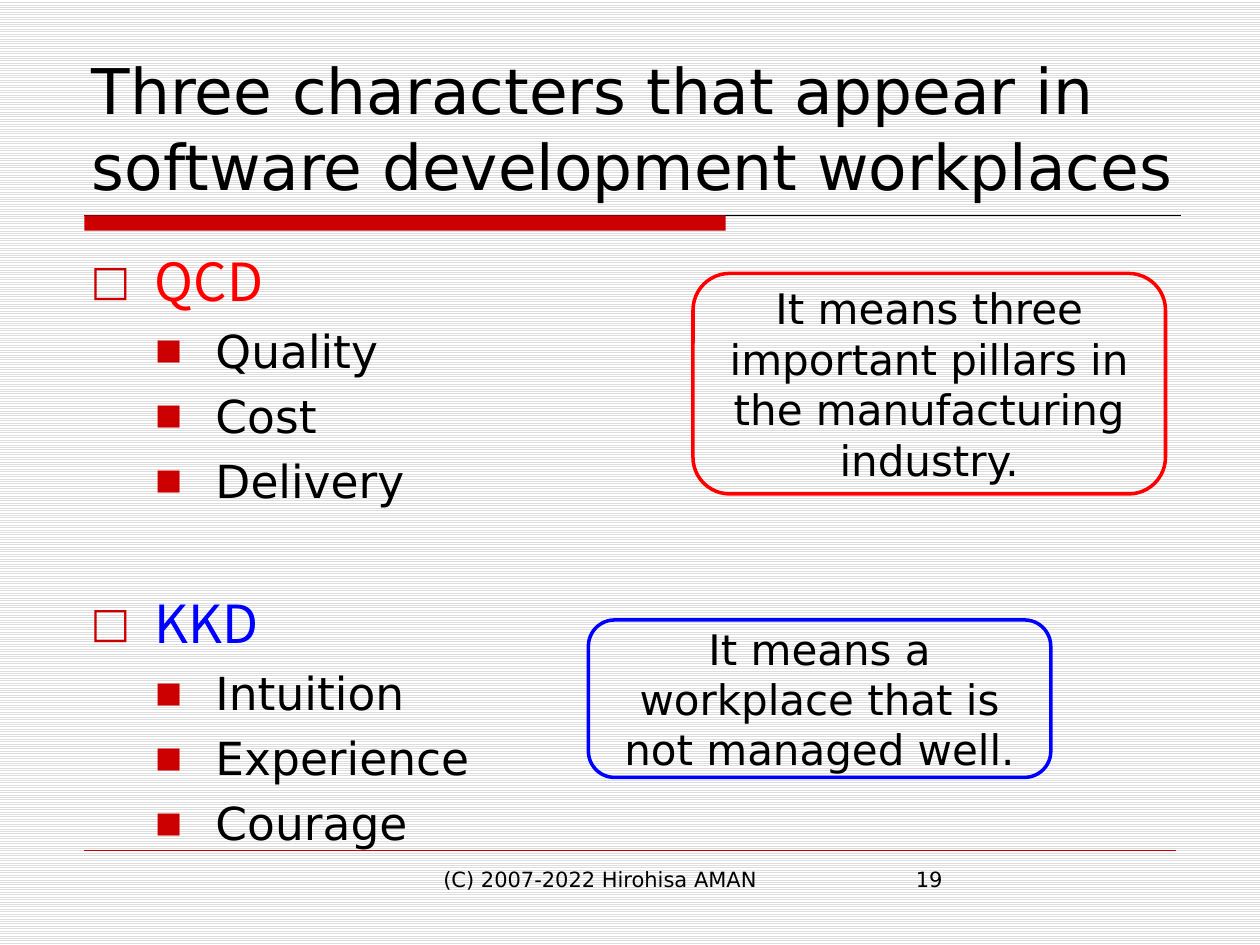
from dataclasses import dataclass

from lxml.etree import SubElement
from pptx import Presentation
from pptx.dml.color import RGBColor
from pptx.enum.dml import MSO_PATTERN
from pptx.enum.shapes import MSO_CONNECTOR, MSO_SHAPE
from pptx.enum.text import MSO_ANCHOR, MSO_AUTO_SIZE, PP_ALIGN
from pptx.oxml.ns import qn
from pptx.util import Inches, Pt


@dataclass(frozen=True)
class Theme:
    text: RGBColor = RGBColor(0, 0, 0)
    accent: RGBColor = RGBColor(0xCC, 0, 0)
    red: RGBColor = RGBColor(0xFF, 0, 0)
    blue: RGBColor = RGBColor(0, 0, 0xFF)
    stripe: RGBColor = RGBColor(0xDD, 0xDD, 0xDD)
    paper: RGBColor = RGBColor(0xFF, 0xFF, 0xFF)
    font: str = "DejaVu Sans"
    acronym_font: str = "Noto Sans CJK JP"
    title_size: int = 36
    acronym_size: int = 30
    item_size: int = 26
    callout_size: int = 24
    footer_size: int = 12


@dataclass(frozen=True)
class Box:
    left: float
    top: float
    width: float
    height: float

    def lengths(self) -> list[int]:
        return [Inches(v) for v in (self.left, self.top, self.width, self.height)]


@dataclass(frozen=True)
class Group:
    acronym: str
    color: RGBColor
    words: tuple[str, ...]
    space_before: float
    meaning: str
    callout: Box


@dataclass(frozen=True)
class Bullet:
    char: str
    percent: int
    margin: float
    hanging: float


THEME = Theme()
ACRONYM_BULLET = Bullet("□", 80, 0.51, 0.51)
ITEM_BULLET = Bullet("■", 63, 0.99, 0.48)
GROUPS = (
    Group("QCD", THEME.red, ("Quality", "Cost", "Delivery"), 0,
          "It means three important pillars in the manufacturing industry.",
          Box(5.5, 2.17, 3.75, 1.75)),
    Group("KKD", THEME.blue, ("Intuition", "Experience", "Courage"), 49,
          "It means a workplace that is not managed well.",
          Box(4.67, 4.92, 3.67, 1.25)),
)
FOOTERS = (
    ("(C) 2007-2022 Hirohisa AMAN", Box(3.42, 6.83, 3.17, 0.52)),
    ("19", Box(7.17, 6.83, 2.17, 0.52)),
)


def place(shape, box: Box) -> None:
    shape.left, shape.top, shape.width, shape.height = box.lengths()


def add_run(paragraph, text: str, size: int, color: RGBColor = THEME.text,
            font: str = THEME.font) -> None:
    run = paragraph.add_run()
    run.text = text
    run.font.name = font
    run.font.size = Pt(size)
    run.font.color.rgb = color


def set_bullet(paragraph, bullet: Bullet) -> None:
    """Call after the paragraph spacing is set, as the XML order matters."""
    properties = paragraph._p.get_or_add_pPr()
    properties.set("marL", str(Inches(bullet.margin)))
    properties.set("indent", str(-Inches(bullet.hanging)))
    color = SubElement(properties, qn("a:buClr"))
    SubElement(color, qn("a:srgbClr"), val=str(THEME.accent))
    SubElement(properties, qn("a:buSzPct"), val=str(bullet.percent * 1000))
    SubElement(properties, qn("a:buFont"), typeface=THEME.font)
    SubElement(properties, qn("a:buChar"), char=bullet.char)


def add_rule(slide, left: float, right: float, top: float, color: RGBColor,
             weight: float) -> None:
    rule = slide.shapes.add_connector(
        MSO_CONNECTOR.STRAIGHT, Inches(left), Inches(top), Inches(right), Inches(top))
    rule.line.color.rgb = color
    rule.line.width = Pt(weight)
    SubElement(rule._element.spPr, qn("a:effectLst"))


def add_decoration(slide) -> None:
    add_rule(slide, 0.67, 9.37, 1.71, THEME.text, 0.75)
    bar = slide.shapes.add_shape(MSO_SHAPE.RECTANGLE, *Box(0.67, 1.71, 5.09, 0.12).lengths())
    bar.shadow.inherit = False
    bar.fill.solid()
    bar.fill.fore_color.rgb = THEME.accent
    bar.line.fill.background()
    add_rule(slide, 0.67, 9.33, 6.75, THEME.accent, 0.25)


def fill_title(title, text: str) -> None:
    place(title, Box(0.63, 0.33, 9.2, 1.33))
    frame = title.text_frame
    frame.auto_size = MSO_AUTO_SIZE.NONE
    frame.vertical_anchor = MSO_ANCHOR.BOTTOM
    paragraph = frame.paragraphs[0]
    paragraph.alignment = PP_ALIGN.LEFT
    add_run(paragraph, text, THEME.title_size)


def fill_body(body) -> None:
    place(body, Box(0.62, 1.94, 8.75, 4.67))
    frame = body.text_frame
    frame.auto_size = MSO_AUTO_SIZE.NONE
    for index, group in enumerate(GROUPS):
        heading = frame.add_paragraph() if index else frame.paragraphs[0]
        heading.line_spacing = Pt(35)
        heading.space_before = Pt(group.space_before)
        set_bullet(heading, ACRONYM_BULLET)
        add_run(heading, group.acronym, THEME.acronym_size, group.color, THEME.acronym_font)
        for word in group.words:
            item = frame.add_paragraph()
            item.level = 1
            item.space_before = Pt(6)
            set_bullet(item, ITEM_BULLET)
            add_run(item, word, THEME.item_size)


def add_callout(slide, group: Group) -> None:
    callout = slide.shapes.add_shape(MSO_SHAPE.ROUNDED_RECTANGLE, *group.callout.lengths())
    callout.shadow.inherit = False
    callout.fill.background()
    callout.line.color.rgb = group.color
    callout.line.width = Pt(2)
    frame = callout.text_frame
    frame.word_wrap = True
    frame.vertical_anchor = MSO_ANCHOR.MIDDLE
    paragraph = frame.paragraphs[0]
    paragraph.alignment = PP_ALIGN.CENTER
    add_run(paragraph, group.meaning, THEME.callout_size)


def add_footer(slide, text: str, box: Box) -> None:
    frame = slide.shapes.add_textbox(*box.lengths()).text_frame
    frame.word_wrap = True
    add_run(frame.paragraphs[0], text, THEME.footer_size)


def main() -> None:
    presentation = Presentation()
    presentation.slide_width, presentation.slide_height = Inches(10), Inches(7.5)
    slide = presentation.slides.add_slide(presentation.slide_layouts[1])
    background = slide.background.fill
    background.patterned()
    background.pattern = MSO_PATTERN.LIGHT_HORIZONTAL
    background.fore_color.rgb = THEME.stripe
    background.back_color.rgb = THEME.paper

    add_decoration(slide)
    fill_title(slide.shapes.title,
               "Three characters that appear in software development workplaces")
    fill_body(slide.placeholders[1])
    for text, box in FOOTERS:
        add_footer(slide, text, box)
    for group in GROUPS:
        add_callout(slide, group)
    presentation.save("out.pptx")


if __name__ == "__main__":
    main()
